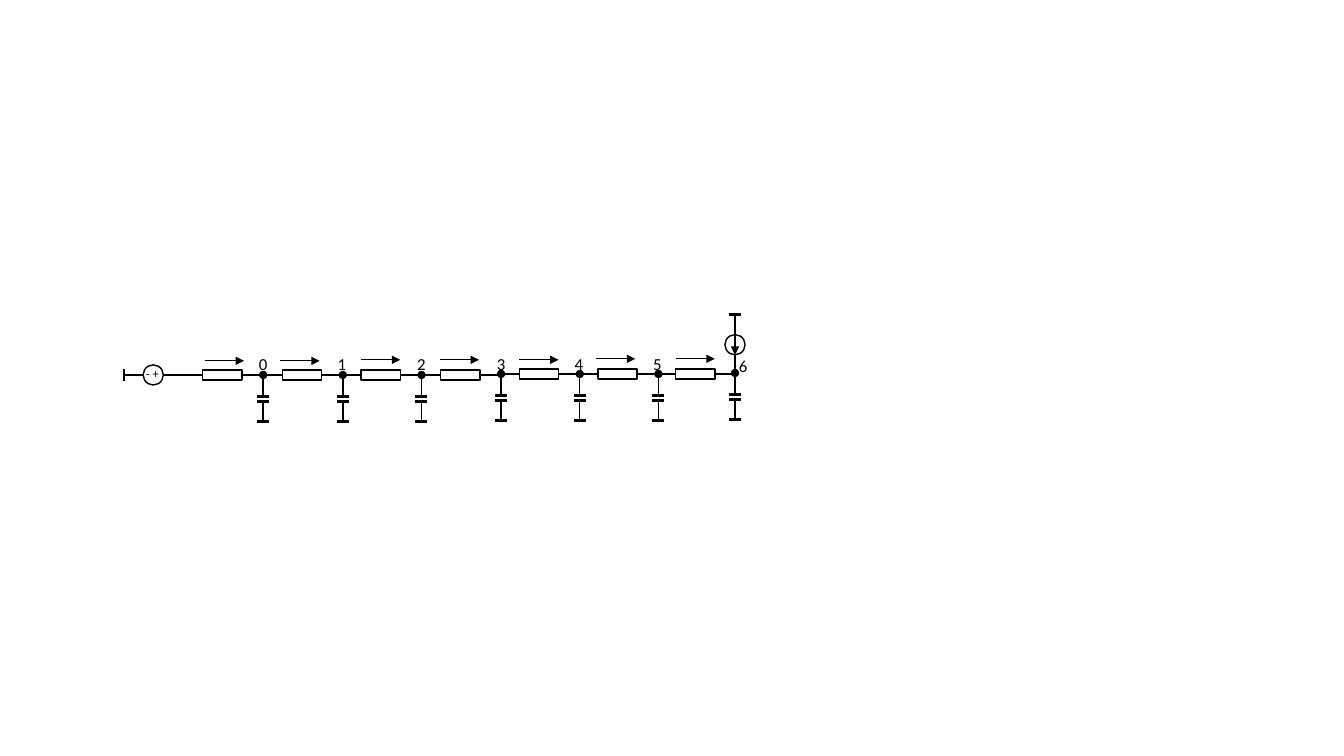
from lxml import etree
from pptx import Presentation
from pptx.dml.color import RGBColor
from pptx.enum.shapes import MSO_CONNECTOR, MSO_SHAPE
from pptx.enum.text import MSO_AUTO_SIZE
from pptx.oxml.ns import qn
from pptx.util import Inches, Pt

STRAIGHT = MSO_CONNECTOR.STRAIGHT
RECTANGLE, OVAL = MSO_SHAPE.RECTANGLE, MSO_SHAPE.OVAL
FIT_SHAPE = MSO_AUTO_SIZE.SHAPE_TO_FIT_TEXT
BLACK = "000000"
FONT = "Calibri"
LEAD = 0.2  # length of every wire piece
RESISTOR_WIDTH, RESISTOR_HEIGHT = 0.39, 0.1
PLATE_WIDTH = 0.12
ARROW_LENGTH = 0.39
SOURCE_DIAMETER = 0.2

# Each stage: resistor left, wire height, arrow left, arrow height,
# node centre, node height, label left, label top
STAGES = [
    (2.01, 3.72, 2.03, 3.58, 2.61, 3.72, 2.47, 3.46),
    (2.80, 3.72, 2.78, 3.58, 3.40, 3.72, 3.25, 3.46),
    (3.58, 3.72, 3.58, 3.57, 4.18, 3.72, 4.04, 3.46),
    (4.37, 3.72, 4.36, 3.57, 4.97, 3.71, 4.83, 3.46),
    (5.15, 3.71, 5.15, 3.57, 5.75, 3.71, 5.60, 3.46),
    (5.93, 3.71, 5.91, 3.56, 6.53, 3.71, 6.38, 3.46),
    (6.70, 3.71, 6.70, 3.56, 7.29, 3.70, 7.23, 3.48),
]


def color(hex_value):
    return RGBColor.from_string(hex_value)


def add_wire(slide, x1, y1, x2, y2, width=1, head=None, tail=None):
    wire = slide.shapes.add_connector(
        STRAIGHT, Inches(x1), Inches(y1), Inches(x2), Inches(y2))
    wire.line.color.rgb = color(BLACK)
    wire.line.width = Pt(width)
    line = wire.line._get_or_add_ln()
    for tag, end in (("a:headEnd", head), ("a:tailEnd", tail)):
        if end:
            etree.SubElement(line, qn(tag), type=end)
    etree.SubElement(wire._element.spPr, qn("a:effectLst"))
    return wire


def add_outline(slide, kind, left, top, width, height):
    shape = slide.shapes.add_shape(
        kind, Inches(left), Inches(top), Inches(width), Inches(height))
    shape.shadow.inherit = False
    shape.fill.background()
    shape.line.color.rgb = color(BLACK)
    shape.line.width = Pt(1)
    return shape


def add_text(slide, text, left, top, width=0.26, height=0.3, size=12):
    box = slide.shapes.add_textbox(
        Inches(left), Inches(top), Inches(width), Inches(height))
    frame = box.text_frame
    frame.word_wrap = False
    frame.auto_size = FIT_SHAPE
    run = frame.paragraphs[0].add_run()
    run.text = text
    run.font.name = FONT
    run.font.size = Pt(size)
    run.font.color.rgb = color(BLACK)


def add_plate(slide, center, y):
    add_wire(slide, center - PLATE_WIDTH / 2, y, center + PLATE_WIDTH / 2, y, width=2)


def add_voltage_source(slide, left, y):
    # Ground bar, wire, circle with polarity signs, wire
    circle_left = left + LEAD - 0.01
    circle_right = circle_left + SOURCE_DIAMETER
    add_wire(slide, left, y - PLATE_WIDTH / 2, left, y + PLATE_WIDTH / 2, width=2)
    add_wire(slide, circle_left, y, left, y)
    add_outline(slide, OVAL, circle_left, y - SOURCE_DIAMETER / 2,
                SOURCE_DIAMETER, SOURCE_DIAMETER)
    add_text(slide, "- +", circle_left - 0.07, y - 0.14, width=0.4, height=0.25, size=9)
    add_wire(slide, circle_right + LEAD, y, circle_right, y)


def add_resistor(slide, left, y):
    right = left + RESISTOR_WIDTH
    resistor = add_outline(slide, RECTANGLE, left, y - RESISTOR_HEIGHT / 2,
                           RESISTOR_WIDTH, RESISTOR_HEIGHT)
    add_wire(slide, left, y, left - LEAD, y).begin_connect(resistor, 1)
    add_wire(slide, right + LEAD, y, right, y).end_connect(resistor, 3)


def add_capacitor(slide, center, y):
    # Node dot and wire, two plates, wire, ground bar
    add_wire(slide, center, y, center, y + LEAD, head="oval")
    add_plate(slide, center, y + 0.21)
    add_plate(slide, center, y + 0.26)
    add_wire(slide, center, y + 0.26, center, y + 0.26 + LEAD)
    add_plate(slide, center, y + 0.26 + LEAD)


def add_current_source(slide, center, top):
    # Top bar, wire, circle with downward arrow, wire
    circle_top = top + LEAD
    circle_bottom = circle_top + SOURCE_DIAMETER
    add_plate(slide, center, top)
    add_wire(slide, center, top, center, circle_top)
    add_outline(slide, OVAL, center - SOURCE_DIAMETER / 2, circle_top,
                SOURCE_DIAMETER, SOURCE_DIAMETER)
    add_wire(slide, center, circle_bottom, center, circle_top, head="triangle")
    add_wire(slide, center, circle_bottom, center, circle_bottom + LEAD)


def add_ladder(slide):
    for number, stage in enumerate(STAGES):
        (resistor_left, wire_y, arrow_left, arrow_y,
         node_x, node_y, label_left, label_top) = stage
        add_resistor(slide, resistor_left, wire_y)
        add_capacitor(slide, node_x, node_y)
        add_wire(slide, arrow_left, arrow_y, arrow_left + ARROW_LENGTH, arrow_y,
                 width=0.5, tail="triangle")
        add_text(slide, str(number), label_left, label_top)


def main():
    presentation = Presentation()
    presentation.slide_width = Inches(13.33)
    presentation.slide_height = Inches(7.5)
    slide = presentation.slides.add_slide(presentation.slide_layouts[6])
    add_voltage_source(slide, 1.23, 3.72)
    add_ladder(slide)
    add_current_source(slide, 7.29, 3.12)
    presentation.save("out.pptx")


if __name__ == "__main__":
    main()
